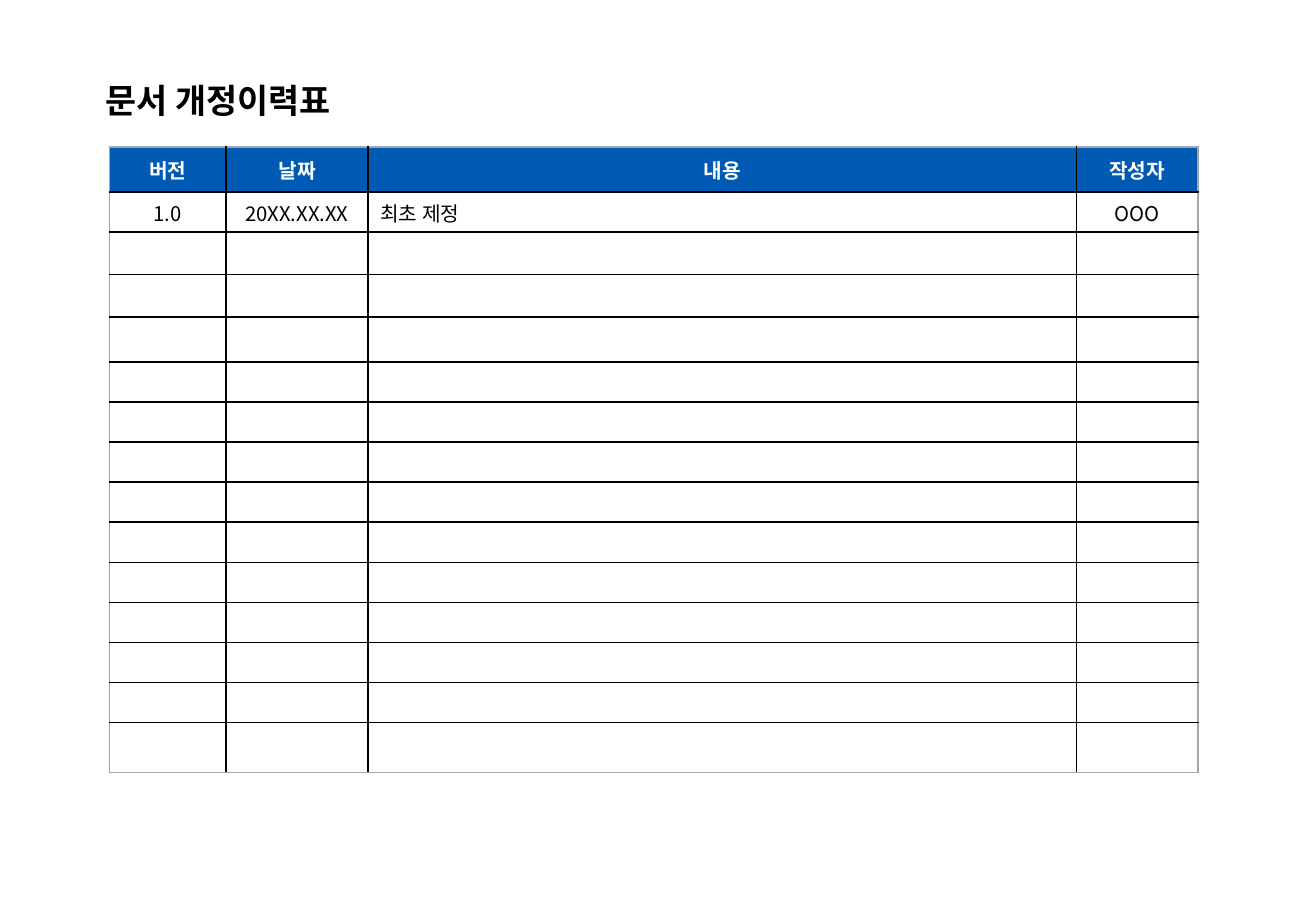
import pptx
import pptx.dml.color
import pptx.enum.text
import pptx.oxml.ns
import pptx.util
from dataclasses import dataclass
from lxml import etree

Inches = pptx.util.Inches
Pt = pptx.util.Pt
ALIGN = pptx.enum.text.PP_ALIGN
MIDDLE = pptx.enum.text.MSO_ANCHOR.MIDDLE
qn = pptx.oxml.ns.qn


@dataclass(frozen=True)
class Theme:
    font: str = "Noto Sans CJK KR"
    title_size: int = 20
    table_size: int = 12
    ink: str = "000000"
    header_text: str = "FFFFFF"
    header_fill: str = "005AB4"
    frame: str = "A6A6A6"
    rule_width: float = 1


THEME = Theme()

HEADERS = ["버전", "날짜", "내용", "작성자"]
REVISIONS = [["1.0", "20XX.XX.XX", "최초 제정", "OOO"]]
COLUMN_WIDTHS = [0.96, 1.17, 5.83, 1.0]
ROW_HEIGHTS = [0.37, 0.33, 0.35, 0.35, 0.37] + [0.33] * 9 + [0.41]


def set_fonts(properties):
    """Name the same typeface for Latin and East Asian text."""
    for tag in ("a:latin", "a:ea"):
        for old in properties.findall(qn(tag)):
            properties.remove(old)
        etree.SubElement(properties, qn(tag), typeface=THEME.font)


def write_text(frame, text, *, size, color=THEME.ink, bold=False, align=ALIGN.LEFT):
    paragraph = frame.paragraphs[0]
    paragraph.alignment = align
    if not text:
        # An empty cell still takes its line height from the type size
        end = etree.SubElement(paragraph._p, qn("a:endParaRPr"), sz=str(size * 100))
        set_fonts(end)
        return
    run = paragraph.add_run()
    run.text = text
    run.font.size = Pt(size)
    run.font.bold = bold
    run.font.color.rgb = pptx.dml.color.RGBColor.from_string(color)
    set_fonts(run.font._element)


def set_borders(cell, colors):
    """Draw the left, right, top and bottom rules of a cell."""
    properties = cell._tc.get_or_add_tcPr()
    for index, (side, color) in enumerate(zip("LRTB", colors)):
        line = etree.Element(qn(f"a:ln{side}"), w=str(Pt(THEME.rule_width)))
        fill = etree.SubElement(line, qn("a:solidFill"))
        etree.SubElement(fill, qn("a:srgbClr"), val=color)
        properties.insert(index, line)


def add_title(slide, left, top, width, height):
    title = slide.shapes.add_textbox(Inches(left), Inches(top), Inches(width), Inches(height))
    frame = title.text_frame
    frame.word_wrap = True
    frame.vertical_anchor = MIDDLE
    frame.margin_left = frame.margin_right = Inches(0.06)
    frame.margin_top = frame.margin_bottom = Inches(0.01)
    write_text(frame, "문서 개정이력표", size=THEME.title_size, bold=True)


def add_history_table(slide, left, top, width, height):
    row_count, column_count = len(ROW_HEIGHTS), len(HEADERS)
    history = slide.shapes.add_table(
        row_count, column_count, Inches(left), Inches(top), Inches(width), Inches(height)
    ).table
    for column, column_width in zip(history.columns, COLUMN_WIDTHS):
        column.width = Inches(column_width)
    for row, row_height in zip(history.rows, ROW_HEIGHTS):
        row.height = Inches(row_height)

    entries = [HEADERS] + REVISIONS
    entries += [[""] * column_count for _ in range(row_count - len(entries))]
    for r, entry in enumerate(entries):
        is_header = r == 0
        for c, text in enumerate(entry):
            cell = history.cell(r, c)
            cell.vertical_anchor = MIDDLE
            # Grey around the table, black between the cells
            outer = (c == 0, c == column_count - 1, is_header, r == row_count - 1)
            set_borders(cell, [THEME.frame if edge else THEME.ink for edge in outer])
            if is_header:
                cell.fill.solid()
                cell.fill.fore_color.rgb = pptx.dml.color.RGBColor.from_string(THEME.header_fill)
            else:
                cell.fill.background()
            is_description = HEADERS[c] == "내용" and not is_header
            write_text(
                cell.text_frame,
                text,
                size=THEME.table_size,
                color=THEME.header_text if is_header else THEME.ink,
                bold=is_header,
                align=ALIGN.LEFT if is_description else ALIGN.CENTER,
            )


def main():
    deck = pptx.Presentation()
    deck.slide_width, deck.slide_height = Inches(10.83), Inches(7.5)
    slide = deck.slides.add_slide(deck.slide_layouts[6])
    add_title(slide, 0.81, 0.66, 9.44, 0.33)
    add_history_table(slide, 0.9, 1.21, sum(COLUMN_WIDTHS), sum(ROW_HEIGHTS))
    deck.save("out.pptx")


if __name__ == "__main__":
    main()
